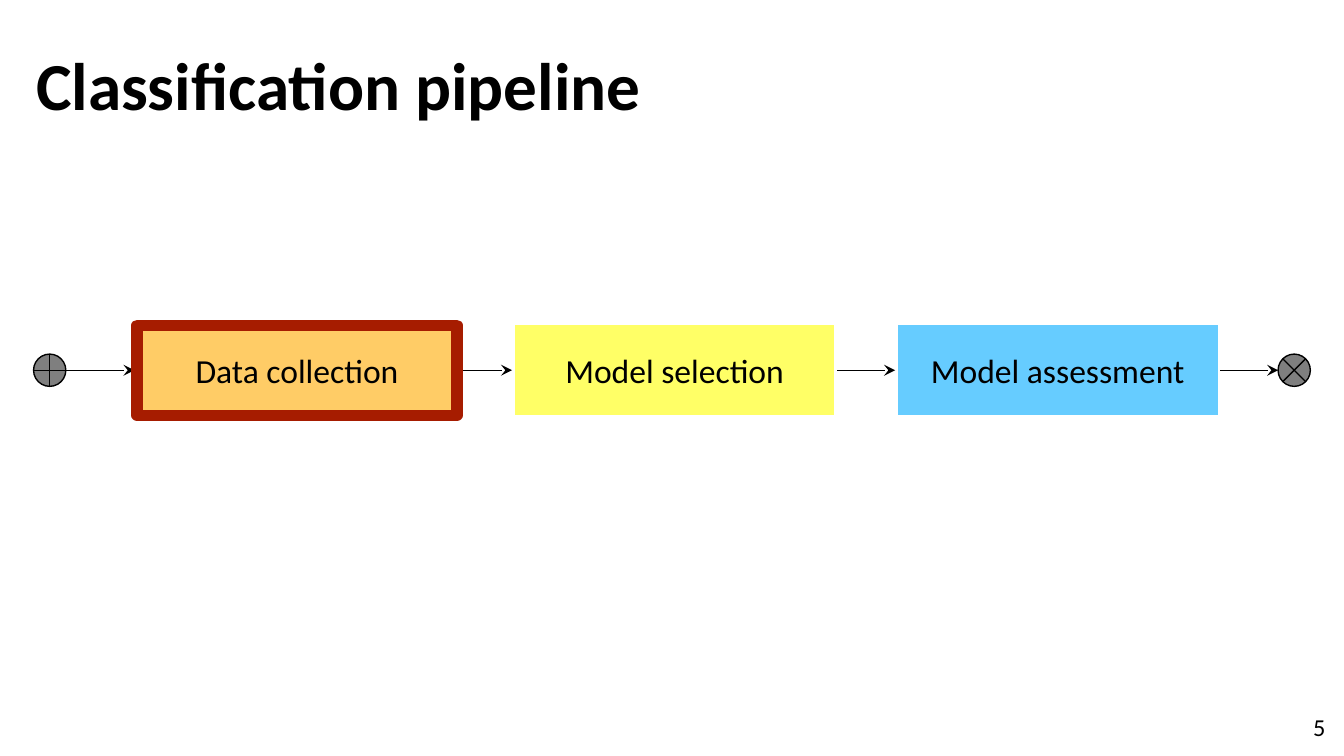
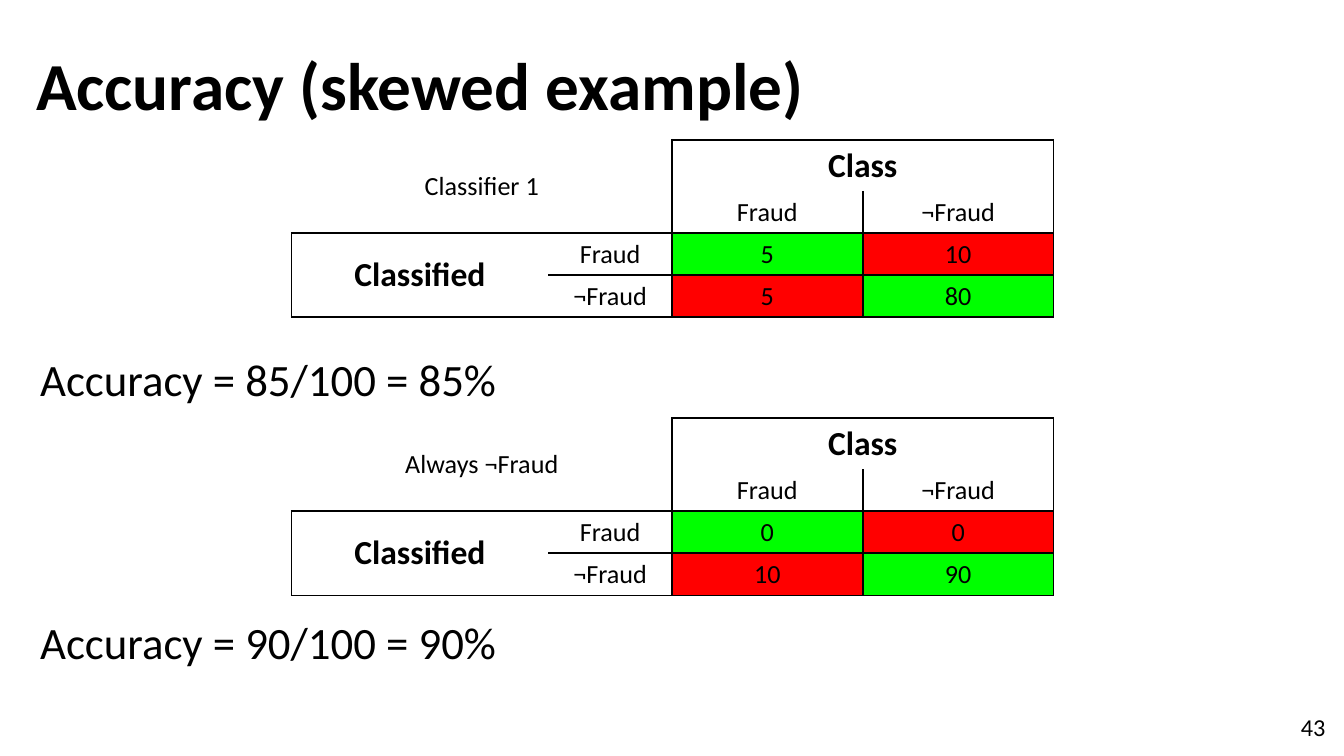
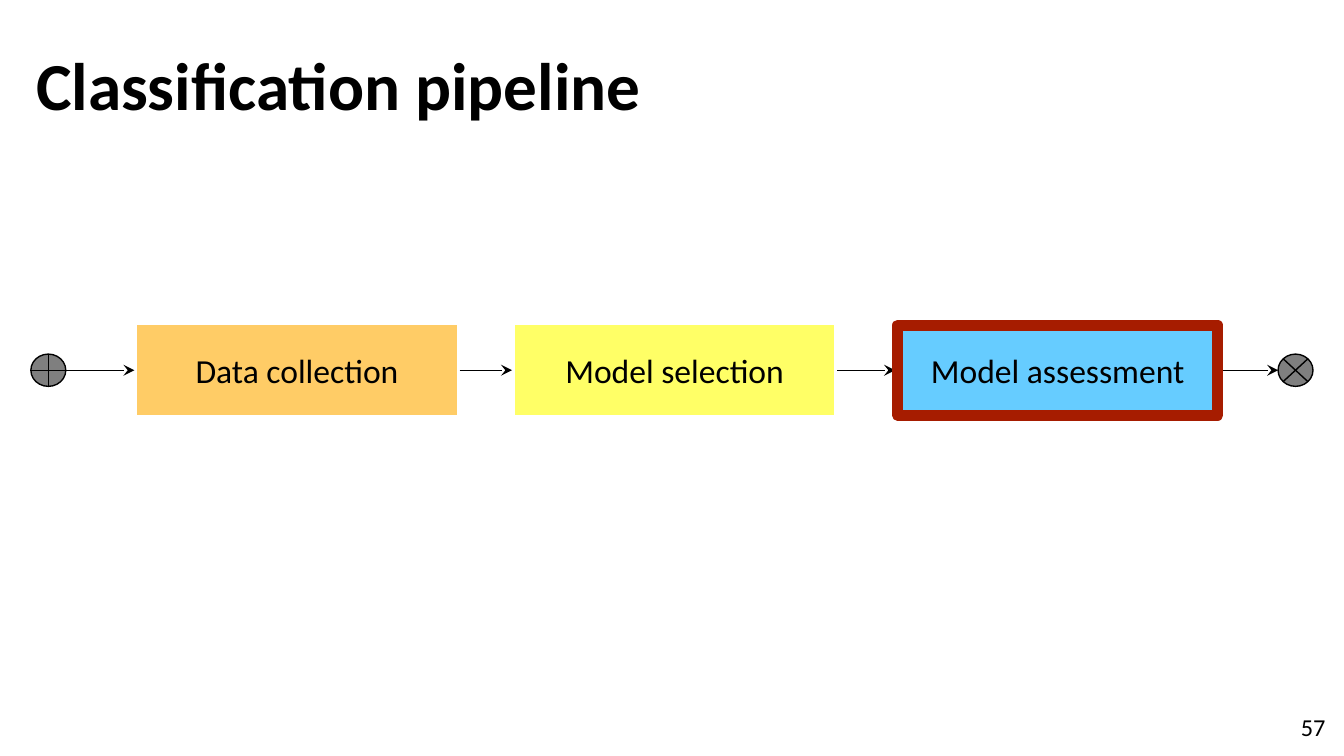
"""Builds three slides on a classification pipeline and accuracy on skewed data."""
import pptx
import pptx.util
import pptx.dml.color
import pptx.enum.shapes
import pptx.enum.text
import pptx.oxml
import pptx.oxml.ns

Inches, Pt = pptx.util.Inches, pptx.util.Pt
SHAPE = pptx.enum.shapes.MSO_SHAPE
ALIGN = pptx.enum.text.PP_ALIGN
ANCHOR = pptx.enum.text.MSO_ANCHOR

FONT = "Calibri"
BLACK, WHITE, GREY, RUST = "000000", "FFFFFF", "7F7F7F", "A61C00"
GREEN, RED = "00FF00", "FF0000"
SLIDE_W = 10
SLIDE_H = SLIDE_W * 9 / 16

STAGES = [
    ("Data collection", 1, "FFCC66"),
    ("Model selection", 3.81, "FFFF66"),
    ("Model assessment", 6.66, "66CCFF"),
]
BOX_TOP, BOX_W, BOX_H = 2.4, 2.42, 0.71
START_RIGHT = 0.49
END_LEFT = SLIDE_W - START_RIGHT
MARKER_H = 0.24
HIGHLIGHT_INSET = 0.02

PIPELINES = [
    {"page": "5", "active": 0, "marker_w": 0.24},
    {"page": "57", "active": 2, "marker_w": 0.26},
]

MATRICES = [
    ("Classifier 1", [("5", "10"), ("5", "80")], 1.04),
    ("Always ¬Fraud", [("0", "0"), ("10", "90")], 3.11),
]
LABELS = ["Fraud", "¬Fraud"]
RESULTS = ["Accuracy = 85/100 = 85%", "Accuracy = 90/100 = 90%"]
MATRIX_LEFT = 2.17
MATRIX_COLS = (1.91, 0.92, 1.42, 1.42)
MATRIX_ROWS = (0.38, 0.31, 0.31, 0.31)
MERGES = [((0, 0), (1, 1)), ((0, 2), (0, 3)), ((2, 0), (3, 0))]
BORDERS = [
    ("RB", "RB", "LTR", "LTR"),
    ("RB", "RB", "LRB", "LRB"),
    ("LTB", "TRB", "LTRB", "LTRB"),
    ("LTB", "TRB", "LTRB", "LTRB"),
]


def rgb(value):
    return pptx.dml.color.RGBColor.from_string(value)


def xml(tag, body=""):
    ns = pptx.oxml.ns.nsdecls("a")
    return pptx.oxml.parse_xml(f"<a:{tag} {ns}>{body}</a:{tag.split()[0]}>")


def write(p, text, size, bold=False, align=ALIGN.LEFT):
    p.text = text
    p.alignment = align
    p.font.name, p.font.size, p.font.bold = FONT, Pt(size), bold
    p.font.color.rgb = rgb(BLACK)


def add_text(slide, at, lines, size, bold=False, align=ALIGN.LEFT,
             anchor=ANCHOR.MIDDLE, gap=0):
    tf = slide.shapes.add_textbox(*map(Inches, at)).text_frame
    tf.word_wrap = True
    tf.vertical_anchor = anchor
    for i, line in enumerate(lines):
        p = tf.add_paragraph() if i else tf.paragraphs[0]
        write(p, line, size, bold, align)
        if i:
            p.space_before = Pt(gap)


def add_shape(slide, kind, at, fill, line, width):
    sp = slide.shapes.add_shape(kind, *map(Inches, at))
    sp.shadow.inherit = False
    if fill:
        sp.fill.solid()
        sp.fill.fore_color.rgb = rgb(fill)
    else:
        sp.fill.background()
    sp.line.color.rgb = rgb(line)
    sp.line.width = Pt(width)
    return sp


def add_arrow(slide, x1, x2, source=None, target=None):
    y = BOX_TOP + BOX_H / 2
    line = slide.shapes.add_connector(
        pptx.enum.shapes.MSO_CONNECTOR.STRAIGHT, *map(Inches, (x1, y, x2, y)))
    if source:
        line.begin_connect(source, 3)
    if target:
        line.end_connect(target, 1)
    line.line.color.rgb = rgb(BLACK)
    line.line.width = Pt(0.75)
    line.line._get_or_add_ln().append(xml('tailEnd type="stealth"'))
    line._element.spPr.append(xml("effectLst"))


def add_slide(prs, title, page):
    slide = prs.slides.add_slide(prs.slide_layouts[6])
    add_text(slide, (0.17, 0.25, 9.08, 0.75), [title], 36, bold=True)
    add_text(slide, (9.36, 5.19, 0.6, 0.43), [page], 13, align=ALIGN.RIGHT)
    return slide


def add_pipeline(prs, page, active, marker_w):
    slide = add_slide(prs, "Classification pipeline", page)
    marker_top = BOX_TOP + (BOX_H - MARKER_H) / 2
    for kind, left in ((SHAPE.FLOWCHART_OR, START_RIGHT - marker_w),
                       (SHAPE.FLOWCHART_SUMMING_JUNCTION, END_LEFT)):
        add_shape(slide, kind, (left, marker_top, marker_w, MARKER_H), GREY, BLACK, 0.75)

    boxes = []
    for name, left, fill in STAGES:
        sp = add_shape(slide, SHAPE.FLOWCHART_PROCESS,
                       (left, BOX_TOP, BOX_W, BOX_H), fill, WHITE, 3)
        sp.text_frame.word_wrap = True
        sp.text_frame.vertical_anchor = ANCHOR.MIDDLE
        write(sp.text_frame.paragraphs[0], name, 18, align=ALIGN.CENTER)
        boxes.append(sp)

    starts = [START_RIGHT] + [left + BOX_W for _, left, _ in STAGES]
    ends = [left for _, left, _ in STAGES] + [END_LEFT]
    for x1, x2, source, target in zip(starts, ends, [None] + boxes, boxes + [None]):
        add_arrow(slide, x1, x2, source, target)

    inset = HIGHLIGHT_INSET
    frame = add_shape(slide, SHAPE.RECTANGLE,
                      (STAGES[active][1] + inset, BOX_TOP + inset,
                       BOX_W - 2 * inset, BOX_H - 2 * inset), None, RUST, 6)
    frame.line._get_or_add_ln().append(xml("round"))


def style_cell(cell, fill, sides):
    cell.margin_top = cell.margin_bottom = Inches(0.04)
    if fill:
        cell.fill.solid()
        cell.fill.fore_color.rgb = rgb(fill)
    else:
        cell.fill.background()
    tc_pr = cell._tc.get_or_add_tcPr()
    for i, side in enumerate("LRTB"):
        if side in sides:
            body = f'<a:solidFill><a:srgbClr val="{BLACK}"/></a:solidFill>'
        else:
            body = "<a:noFill/>"
        tc_pr.insert(i, xml(f'ln{side} w="{Pt(1)}"', body))


def add_matrix(slide, name, counts, top):
    rows = [(name, "", "Class", ""), ("", "", *LABELS),
            ("Classified", LABELS[0], *counts[0]), ("", LABELS[1], *counts[1])]
    table = slide.shapes.add_table(
        len(rows), len(MATRIX_COLS), Inches(MATRIX_LEFT), Inches(top),
        Inches(sum(MATRIX_COLS)), Inches(sum(MATRIX_ROWS))).table
    table.first_row = table.horz_banding = False
    for col, width in zip(table.columns, MATRIX_COLS):
        col.width = Inches(width)
    for row, height in zip(table.rows, MATRIX_ROWS):
        row.height = Inches(height)
    for r, texts in enumerate(rows):
        for c, text in enumerate(texts):
            cell = table.cell(r, c)
            fill = (GREEN if r == c else RED) if r > 1 and c > 1 else None
            style_cell(cell, fill, BORDERS[r][c])
            heading = text in ("Class", "Classified")
            write(cell.text_frame.paragraphs[0], text, 18 if heading else 14,
                  heading, ALIGN.CENTER)
    for first, last in MERGES:
        table.cell(*first).merge(table.cell(*last))
        table.cell(*first).vertical_anchor = ANCHOR.MIDDLE


def add_accuracy(prs):
    slide = add_slide(prs, "Accuracy (skewed example)", "43")
    add_text(slide, (0.2, 2.57, 9.08, 2.65), RESULTS, 24, anchor=ANCHOR.TOP, gap=112)
    for matrix in MATRICES:
        add_matrix(slide, *matrix)


def main():
    prs = pptx.Presentation()
    prs.slide_width, prs.slide_height = Inches(SLIDE_W), Inches(SLIDE_H)
    add_pipeline(prs, **PIPELINES[0])
    add_accuracy(prs)
    add_pipeline(prs, **PIPELINES[1])
    prs.save("out.pptx")


if __name__ == "__main__":
    main()
